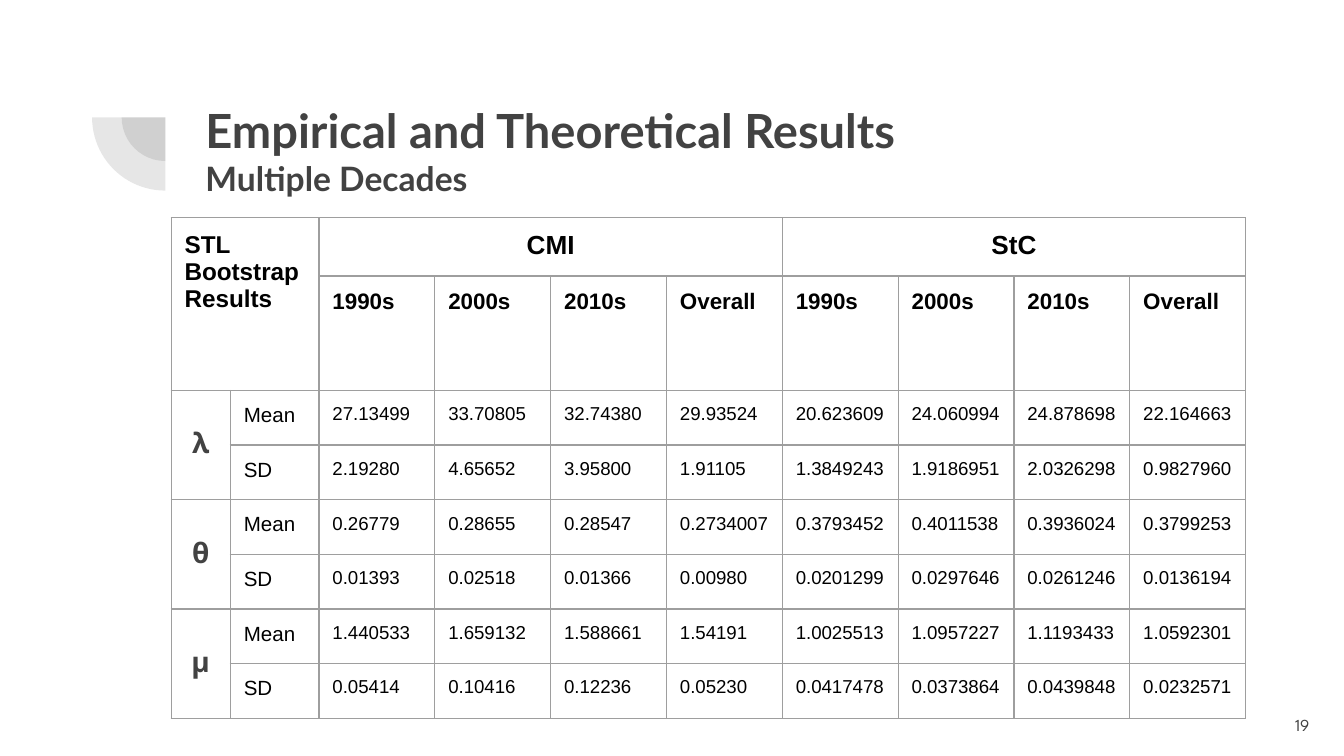
from lxml.etree import SubElement
from pptx import Presentation
from pptx.dml.color import RGBColor
from pptx.enum.shapes import MSO_SHAPE as Shape
from pptx.enum.text import MSO_ANCHOR as Anchor, PP_ALIGN as Align
from pptx.oxml.ns import qn
from pptx.util import Inches, Pt

COLORS = {"ink": "424242", "text": "000000", "grid": "9E9E9E"}
SLIDE_W = Inches(10)
SLIDE_H = SLIDE_W * 9 // 16
UNIT = SLIDE_W / 100  # the slide is a grid of 100 columns, with square cells

# Table columns and rows, in grid units
COLUMN_WIDTHS = [4.4, 6.6] + [8.62] * 8
ROW_HEIGHTS = [4.14, 5.1] + [4.07] * 6
TABLE_SIDE = 32.8  # nominal frame; the rows and columns extend beyond it

SITES = ["CMI", "StC"]
PERIODS = ["1990s", "2000s", "2010s", "Overall"]
PARAMETERS = ["λ", "θ", "μ"]
STATISTICS = ["Mean", "SD"]
RESULTS = [
    "27.13499 33.70805 32.74380 29.93524 20.623609 24.060994 24.878698 22.164663",
    "2.19280 4.65652 3.95800 1.91105 1.3849243 1.9186951 2.0326298 0.9827960",
    "0.26779 0.28655 0.28547 0.2734007 0.3793452 0.4011538 0.3936024 0.3799253",
    "0.01393 0.02518 0.01366 0.00980 0.0201299 0.0297646 0.0261246 0.0136194",
    "1.440533 1.659132 1.588661 1.54191 1.0025513 1.0957227 1.1193433 1.0592301",
    "0.05414 0.10416 0.12236 0.05230 0.0417478 0.0373864 0.0439848 0.0232571",
]


def grid(*lengths):
    return [round(length * UNIT) for length in lengths]


def rgb(name):
    return RGBColor.from_string(COLORS[name])


def format_text(paragraph, size, font="Arial", color="text", bold=False, align=Align.LEFT):
    paragraph.alignment = align
    for run in paragraph.runs:
        run.font.name = font
        run.font.size = Pt(size)
        run.font.bold = bold
        run.font.color.rgb = rgb(color)


def set_margins(holder):
    holder.margin_left = holder.margin_right = Inches(0.1)
    holder.margin_top = holder.margin_bottom = Inches(0.1)


def add_quarter(slide, center_x, center_y, radius):
    """Translucent lower-left quarter of a disc."""
    quarter = slide.shapes.add_shape(
        Shape.PIE, *grid(center_x - radius, center_y - radius, 2 * radius, 2 * radius))
    quarter.adjustments[0], quarter.adjustments[1] = 107.93, 162
    quarter.rotation = 270
    quarter.shadow.inherit = False
    quarter.line.fill.background()
    quarter.fill.solid()
    quarter.fill.fore_color.rgb = rgb("ink")
    tint = next(quarter.fill._xPr.iter(qn("a:srgbClr")))
    SubElement(tint, qn("a:alpha"), val="13000")


def add_text(slide, box, lines, sizes, anchor=Anchor.TOP, **style):
    frame = slide.shapes.add_textbox(*grid(*box)).text_frame
    frame.word_wrap = True
    frame.vertical_anchor = anchor
    set_margins(frame)
    frame.text = "\n".join(lines)
    for paragraph, size in zip(frame.paragraphs, sizes):
        format_text(paragraph, size, color="ink", **style)


def style_cell(cell):
    set_margins(cell)
    properties = cell._tc.get_or_add_tcPr()
    for side in ("lnL", "lnR", "lnT", "lnB"):
        border = SubElement(properties, qn(f"a:{side}"), w=str(Pt(0.75)))
        fill = SubElement(border, qn("a:solidFill"))
        SubElement(fill, qn("a:srgbClr"), val=COLORS["grid"])
    cell.fill.background()


def write_cell(cell, text, size, **style):
    cell.text_frame.text = text
    format_text(cell.text_frame.paragraphs[0], size, **style)


def add_results_table(slide):
    holder = slide.shapes.add_table(
        len(ROW_HEIGHTS), len(COLUMN_WIDTHS), *grid(12.74, 16.2, TABLE_SIDE, TABLE_SIDE))
    table = holder.table
    table.first_row = table.horz_banding = False
    for column, width in zip(table.columns, grid(*COLUMN_WIDTHS)):
        column.width = width
    for row, height in zip(table.rows, grid(*ROW_HEIGHTS)):
        row.height = height
    holder.width, holder.height = grid(TABLE_SIDE, TABLE_SIDE)
    for cell in table.iter_cells():
        style_cell(cell)

    # Headings
    table.cell(0, 0).merge(table.cell(1, 1))
    write_cell(table.cell(0, 0), "STL Bootstrap Results", 13, bold=True)
    for s, site in enumerate(SITES):
        first = 2 + s * len(PERIODS)
        table.cell(0, first).merge(table.cell(0, first + len(PERIODS) - 1))
        write_cell(table.cell(0, first), site, 14, bold=True, align=Align.CENTER)
        for p, period in enumerate(PERIODS):
            write_cell(table.cell(1, first + p), period, 12, bold=True)

    # Parameter symbols, each beside its mean and SD
    for p, symbol in enumerate(PARAMETERS):
        top = 2 + p * len(STATISTICS)
        cell = table.cell(top, 0)
        cell.merge(table.cell(top + 1, 0))
        cell.vertical_anchor = Anchor.MIDDLE
        write_cell(cell, symbol, 15, font="League Spartan", color="ink",
                   bold=True, align=Align.CENTER)
        paragraph = cell.text_frame.paragraphs[0]
        paragraph.line_spacing = 1.15
        paragraph.space_after = Pt(12)

    # Estimates
    for r, values in enumerate(RESULTS):
        write_cell(table.cell(2 + r, 1), STATISTICS[r % 2], 11)
        for c, value in enumerate(values.split()):
            write_cell(table.cell(2 + r, 2 + c), value, 10)


def main():
    deck = Presentation()
    deck.slide_width, deck.slide_height = SLIDE_W, SLIDE_H
    slide = deck.slides.add_slide(deck.slide_layouts[6])

    # Corner ornament
    for radius in (3.25, 5.45):
        add_quarter(slide, 12.3, 8.73, radius)

    # Title and table
    add_text(slide, (14.3, 6.54, 76.9, 10.9),
             ["Empirical and Theoretical Results", "Multiple Decades"],
             [25.2, 18], font="Lato", bold=True)
    add_results_table(slide)

    # Page number
    add_text(slide, (92.4, 51.8, 6, 4.3), ["19"], [9], anchor=Anchor.MIDDLE,
             font="League Spartan", align=Align.RIGHT)
    deck.save("out.pptx")


if __name__ == "__main__":
    main()
